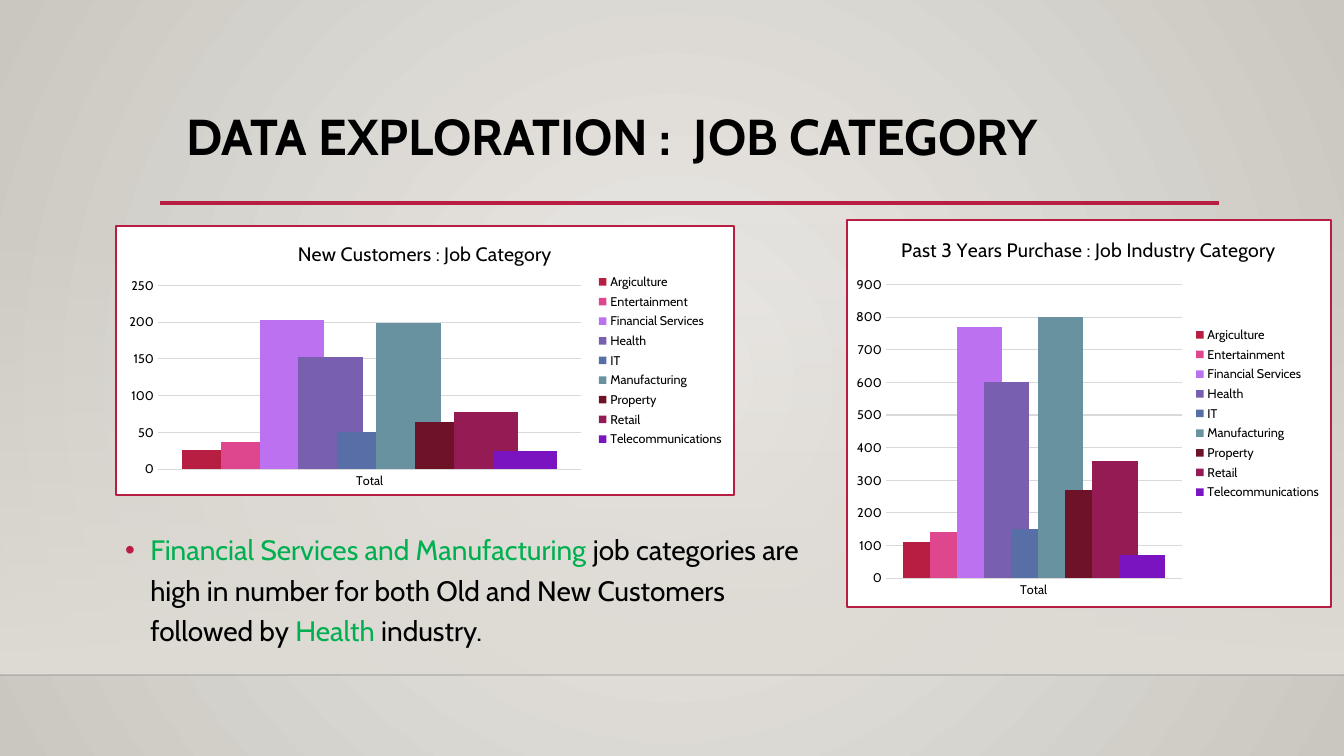
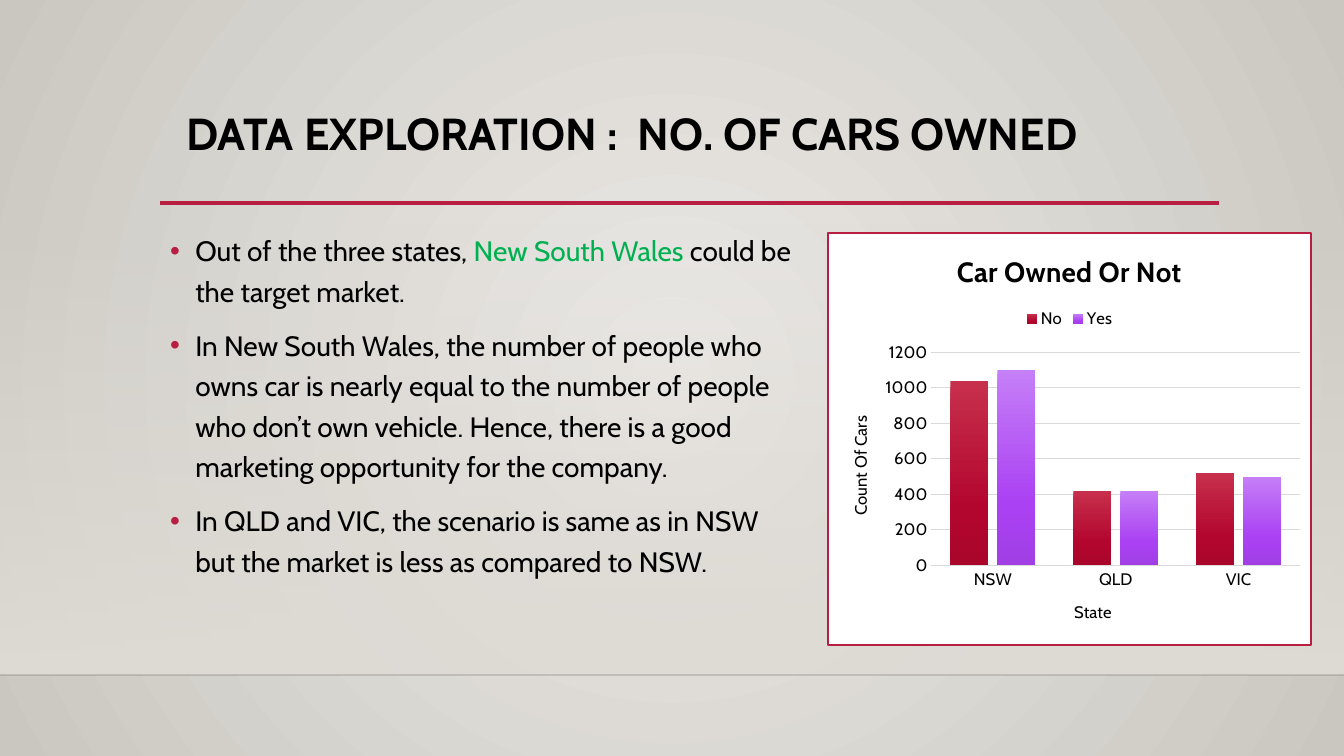
from pptx import Presentation
from pptx import util as u
from pptx.chart.data import CategoryChartData
from pptx.dml.color import RGBColor
from pptx.enum import chart as kinds, shapes, text
from pptx.oxml import parse_xml
from pptx.oxml.ns import nsdecls

PX = 9071  # EMU in one pixel
FONT = "Cabin"
BLACK = RGBColor(0x00, 0x00, 0x00)
WHITE = RGBColor(0xFF, 0xFF, 0xFF)
RED = RGBColor(0xB7, 0x1E, 0x42)
GREEN = RGBColor(0x00, 0xB0, 0x50)
GRID = RGBColor(0xD9, 0xD9, 0xD9)
SAND = RGBColor(0xDF, 0xDB, 0xD5)
PALE = RGBColor(0xEC, 0xEA, 0xE7)
STONE = RGBColor(0xCA, 0xC7, 0xC1)
INDUSTRY_COLORS = [
    RED, RGBColor(0xDE, 0x47, 0x8E), RGBColor(0xBC, 0x72, 0xF0),
    RGBColor(0x79, 0x5F, 0xAF), RGBColor(0x58, 0x6E, 0xA6), RGBColor(0x68, 0x92, 0xA0),
    RGBColor(0x6E, 0x12, 0x28), RGBColor(0x95, 0x1B, 0x54), RGBColor(0x79, 0x14, 0xC0),
]
NO_SHADES = [RGBColor(0xC7, 0x30, 0x4C), RGBColor(0xB3, 0x06, 0x2F), RGBColor(0xAA, 0x06, 0x2C)]
YES_SHADES = [RGBColor(0xC5, 0x7F, 0xF7), RGBColor(0xAA, 0x41, 0xF3), RGBColor(0xA1, 0x3F, 0xE5)]


def write(para, words, size=20, color=BLACK, bold=False):
    span = para.add_run()
    span.text = words
    span.font.name = FONT
    span.font.size = u.Pt(size)
    span.font.color.rgb = color
    span.font.bold = bold


def set_gradient(fill, owner, stops, circle=False):
    """Stops are (percent, colour, opacity percent)."""
    fill.gradient()
    marks = "".join(
        f'<a:gs pos="{place * 1000}"><a:srgbClr val="{color}">'
        f'<a:alpha val="{opacity * 1000}"/></a:srgbClr></a:gs>'
        for place, color, opacity in stops)
    direction = '<a:lin ang="5400000" scaled="0"/>'
    if circle:
        direction = ('<a:path path="circle"><a:fillToRect l="50000" t="50000" '
                     'r="50000" b="50000"/></a:path>')
    old = owner.xpath(".//a:gradFill")[0]
    old.getparent().replace(old, parse_xml(
        f'<a:gradFill {nsdecls("a")} rotWithShape="1"><a:gsLst>{marks}</a:gsLst>'
        f'{direction}</a:gradFill>'))


deck = Presentation()
deck.slide_width, deck.slide_height = 1344 * PX, 756 * PX
layout = deck.slide_layouts[1]

# Shared layout: title place, background, floor band and rules
for holder in list(layout.placeholders)[2:]:
    holder.element.getparent().remove(holder.element)
title_place = layout.placeholders[0]
title_place.left, title_place.top = 176 * PX, 107 * PX
title_place.width, title_place.height = 1058 * PX, 116 * PX
set_gradient(layout.background.fill, layout.element,
             [(0, PALE, 100), (100, STONE, 100)], circle=True)

pages = [deck.slides.add_slide(layout) for number in range(2)]
drawing = pages[0].shapes
band = drawing.add_shape(shapes.MSO_SHAPE.RECTANGLE, 0, 223 * PX, 1344 * PX, 452 * PX)
band.shadow.inherit = False
band.line.fill.background()
set_gradient(band.fill, band.element, [(0, SAND, 0), (100, SAND, 100)])
decor = [band]
for left, right, height, color, weight, opacity in [
        (0, 1344, 675, BLACK, 1, 20), (160, 1219, 203, RED, 2.5, 100)]:
    rule = drawing.add_connector(shapes.MSO_CONNECTOR.STRAIGHT,
                                 left * PX, height * PX, right * PX, height * PX)
    rule.line.color.rgb = color
    rule.line.width = u.Pt(weight)
    rule.element.xpath(".//a:ln//a:srgbClr")[0].append(
        parse_xml(f'<a:alpha {nsdecls("a")} val="{opacity * 1000}"/>'))
    rule.element.spPr.append(parse_xml(f'<a:effectLst {nsdecls("a")}/>'))
    decor.append(rule)
for place, part in enumerate(decor, start=2):
    layout.shapes.element.insert(place, part.element)

# Titles and lists
contents = [
    ("DATA EXPLORATION :  JOB CATEGORY", 36, (115, 521, 722, 140), [
        [("Financial Services and Manufacturing", GREEN),
         (" job categories are high in number for both Old and New Customers followed by ", BLACK),
         ("Health", GREEN), (" industry.", BLACK)],
    ]),
    ("DATA EXPLORATION :  NO. OF CARS OWNED", 32, (160, 222, 651, 414), [
        [("Out of the three states, ", BLACK), ("New South Wales ", GREEN),
         ("could be the target market.", BLACK)],
        [("In New South Wales, the number of people who owns car is nearly equal to the "
          "number of people who don’t own vehicle. Hence, there is a good marketing "
          "opportunity for the company.", BLACK)],
        [("In QLD and VIC, the scenario is same as in NSW but the market is less as "
          "compared to NSW.", BLACK)],
    ]),
]
for page, (heading, heading_size, place, points) in zip(pages, contents):
    title, body = page.shapes.title, page.placeholders[1]
    body.left, body.top, body.width, body.height = [side * PX for side in place]
    for box in (title, body):
        box.text_frame.word_wrap = True
        box.text_frame.auto_size = text.MSO_AUTO_SIZE.NONE
        box.text_frame.vertical_anchor = text.MSO_ANCHOR.TOP
    para = title.text_frame.paragraphs[0]
    para.alignment = text.PP_ALIGN.LEFT
    para.line_spacing = 0.9
    write(para, heading, size=heading_size, bold=True)

    for index, point in enumerate(points):
        para = body.text_frame.add_paragraph() if index else body.text_frame.paragraphs[0]
        para.line_spacing = 1.2
        para.space_before = u.Pt(10)
        for words, color in point:
            write(para, words, color=color)
    for format_node in body.element.xpath(".//a:pPr"):
        format_node.set("marL", str(u.Inches(0.25)))
        format_node.set("indent", str(-u.Inches(0.25)))
        format_node.append(parse_xml(
            f'<a:buClr {nsdecls("a")}><a:srgbClr val="{RED}"/></a:buClr>'))
        format_node.append(parse_xml(f'<a:buFont {nsdecls("a")} typeface="Arial"/>'))
        format_node.append(parse_xml(f'<a:buChar {nsdecls("a")} char="•"/>'))

# Charts
industries = ["Argiculture", "Entertainment", "Financial Services", "Health", "IT",
              "Manufacturing", "Property", "Retail", "Telecommunications"]
past = [110, 140, 770, 600, 150, 800, 270, 360, 70]
new = [26, 37, 203, 152, 51, 199, 64, 78, 25]
industry_style = dict(page=pages[0], categories=["Total"], colors=INDUSTRY_COLORS,
                      title_size=14, bold=False, size=9, gap=75, overlap=40,
                      legend=kinds.XL_LEGEND_POSITION.RIGHT, axis_titles=[], axis_weight=0.75)
charts = [
    dict(industry_style, title="Past 3 Years Purchase : Job Industry Category",
         place=(846, 219, 486, 389), plot=(885, 284, 297, 295), top=900, step=100,
         series=[(name, [value]) for name, value in zip(industries, past)]),
    dict(industry_style, title="New Customers : Job Category",
         place=(115, 225, 620, 271), plot=(157, 285, 425, 185), top=250, step=50,
         series=[(name, [value]) for name, value in zip(industries, new)]),
    dict(page=pages[1], categories=["NSW", "QLD", "VIC"], colors=[NO_SHADES, YES_SHADES],
         title="Car Owned Or Not", title_size=20, bold=True, size=12, gap=100, overlap=-24,
         legend=kinds.XL_LEGEND_POSITION.TOP, axis_titles=["State", "Count Of Cars"],
         axis_weight=1, place=(827, 232, 485, 414), plot=(931, 352, 370, 214),
         top=1200, step=200,
         series=[("No", [1040, 420, 520]), ("Yes", [1100, 420, 500])]),
]
for item in charts:
    data = CategoryChartData()
    data.categories = item["categories"]
    for name, values in item["series"]:
        data.add_series(name, values)
    chart = item["page"].shapes.add_chart(
        kinds.XL_CHART_TYPE.COLUMN_CLUSTERED, *[side * PX for side in item["place"]],
        data).chart
    chart.font.name = FONT
    chart.font.size = u.Pt(item["size"])
    chart.font.color.rgb = BLACK
    chart.has_title = True
    write(chart.chart_title.text_frame.paragraphs[0], item["title"],
          size=item["title_size"], bold=item["bold"])
    chart.has_legend = True
    chart.legend.position = item["legend"]
    chart.legend.include_in_layout = False

    # Columns
    columns = chart.plots[0]
    columns.vary_by_categories = False
    columns.gap_width, columns.overlap = item["gap"], item["overlap"]
    for series, node, color in zip(columns.series, chart.element.xpath(".//c:ser"),
                                   item["colors"]):
        if isinstance(color, list):
            set_gradient(series.format.fill, node,
                         [(stop, shade, 100) for stop, shade in zip((0, 69, 100), color)])
        else:
            series.format.fill.solid()
            series.format.fill.fore_color.rgb = color

    # Axes
    across, upright = chart.category_axis, chart.value_axis
    for axis in (across, upright):
        axis.major_tick_mark = axis.minor_tick_mark = kinds.XL_TICK_MARK.NONE
    across.format.line.color.rgb = GRID
    across.format.line.width = u.Pt(item["axis_weight"])
    upright.format.line.fill.background()
    upright.minimum_scale, upright.maximum_scale = 0, item["top"]
    upright.major_unit = item["step"]
    upright.major_gridlines.format.line.color.rgb = GRID
    upright.major_gridlines.format.line.width = u.Pt(0.75)
    for axis, label in zip((across, upright), item["axis_titles"]):
        write(axis.axis_title.text_frame.paragraphs[0], label, size=item["size"])
    for turned in chart.element.xpath(".//c:valAx/c:title//a:bodyPr"):
        turned.set("rot", "-5400000")
        turned.set("vert", "horz")

    # White panel with a red border
    chart.element.xpath("c:chart")[0].addnext(parse_xml(
        f'<c:spPr {nsdecls("c", "a")}><a:solidFill><a:srgbClr val="{WHITE}"/></a:solidFill>'
        f'<a:ln w="{u.Pt(1.25)}"><a:solidFill><a:srgbClr val="{RED}"/></a:solidFill></a:ln>'
        '</c:spPr>'))

    # Plot area as fractions of the panel
    left, top, width, height = item["place"]
    plot_left, plot_top, plot_width, plot_height = item["plot"]
    fractions = {"x": (plot_left - left) / width, "y": (plot_top - top) / height,
                 "w": plot_width / width, "h": plot_height / height}
    area = chart.element.xpath("c:chart/c:plotArea")[0]
    for old in area.xpath("c:layout"):
        area.remove(old)
    area.insert(0, parse_xml(
        f'<c:layout {nsdecls("c")}><c:manualLayout><c:layoutTarget val="inner"/>'
        '<c:xMode val="edge"/><c:yMode val="edge"/>'
        + "".join(f'<c:{key} val="{part:.4f}"/>' for key, part in fractions.items())
        + '</c:manualLayout></c:layout>'))

deck.save("out.pptx")
